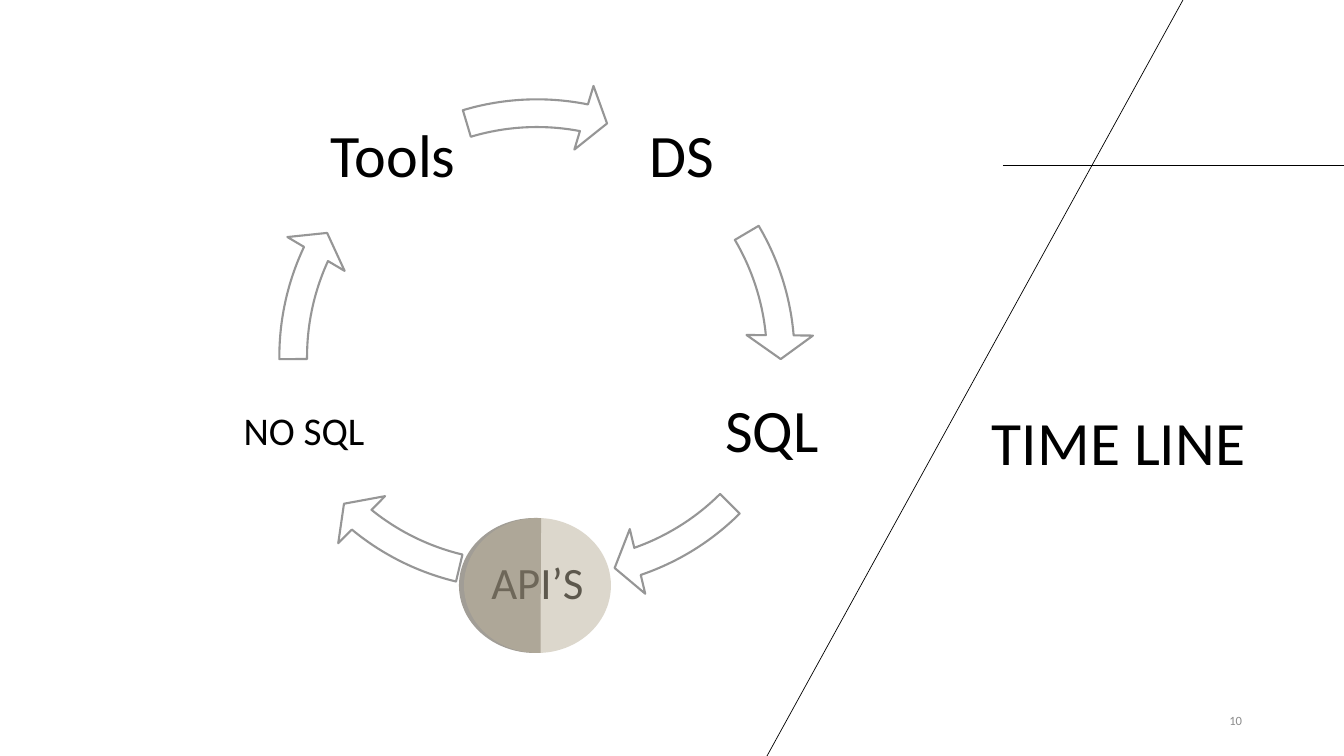
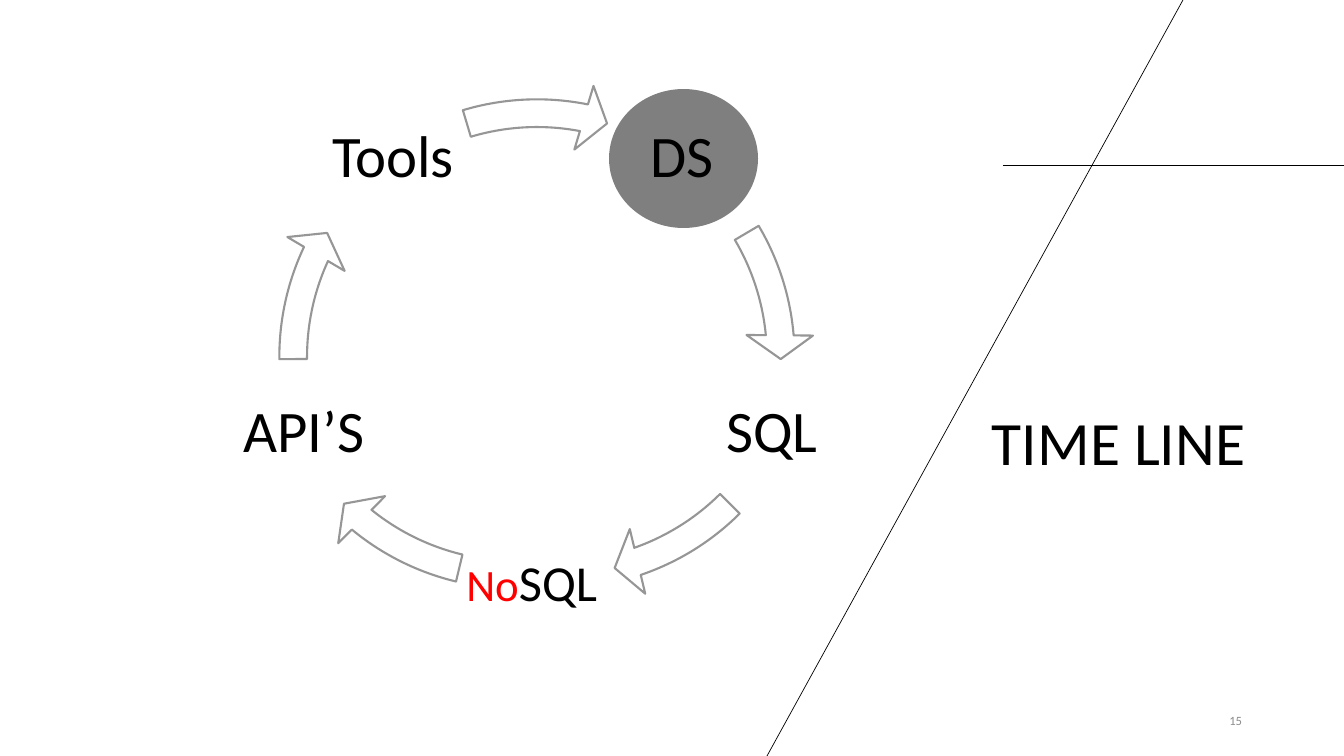
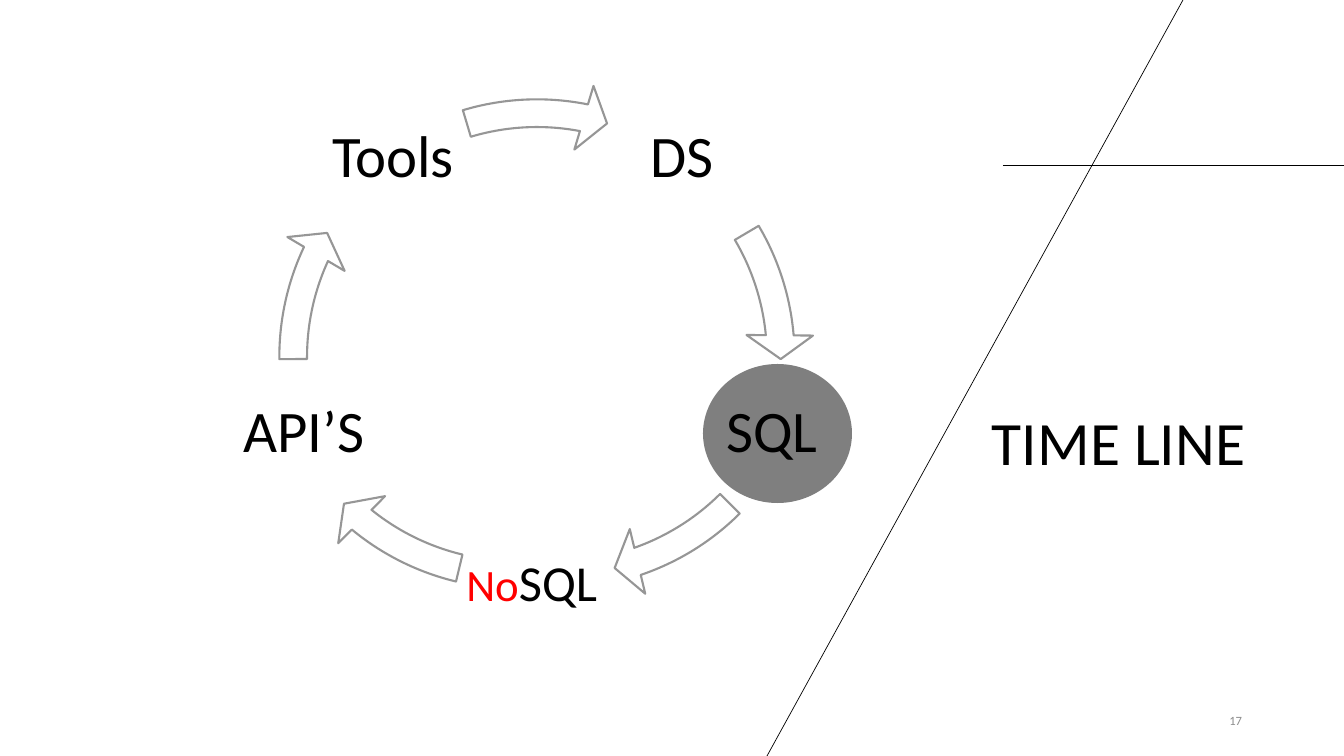
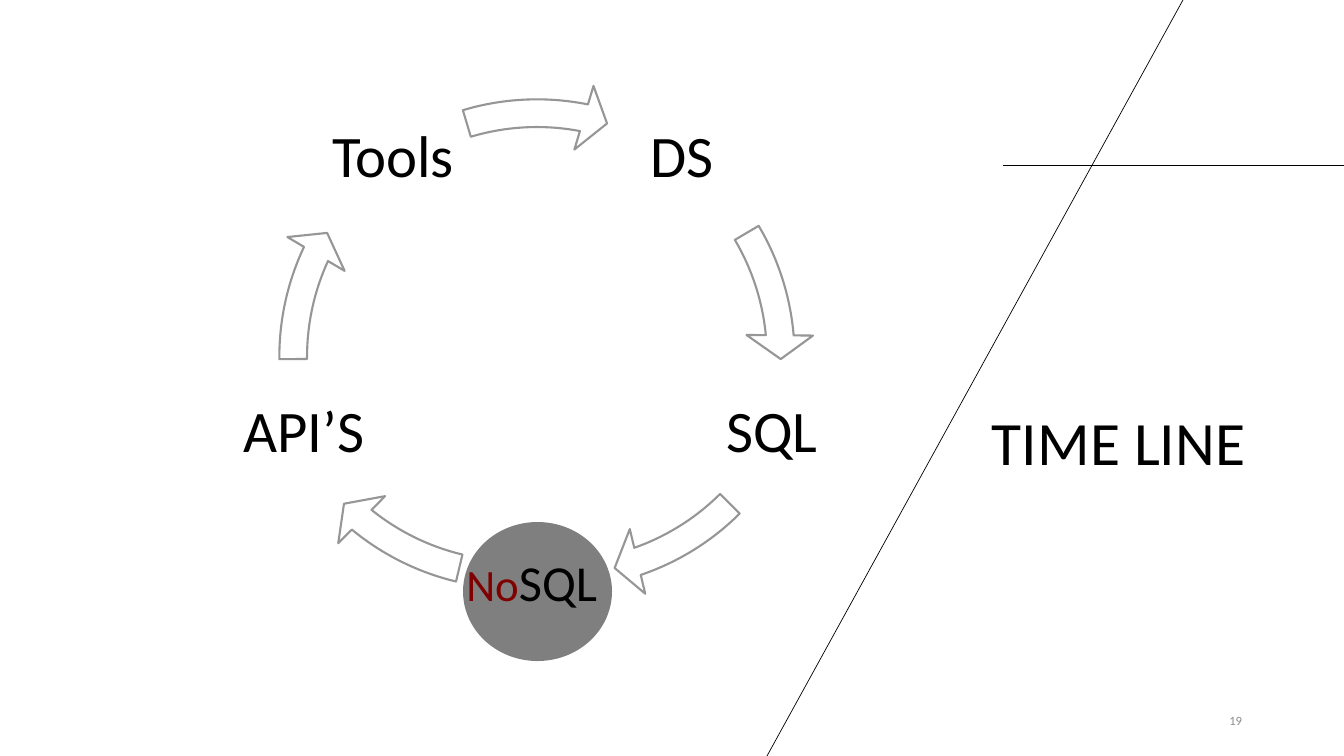
from dataclasses import dataclass

from pptx import Presentation
from pptx.dml.color import RGBColor
from pptx.enum.shapes import MSO_CONNECTOR, MSO_SHAPE
from pptx.enum.text import MSO_ANCHOR, PP_ALIGN
from pptx.oxml.ns import qn
from pptx.util import Pt
from lxml.etree import SubElement

WIDE, HIGH = 1344, 756
SCALE = 12192000 / WIDE


@dataclass(frozen=True)
class Theme:
    font: str = "Calibri"
    ink: str = "000000"
    paper: str = "FFFFFF"
    edge: str = "969696"
    mute: str = "8C8C8C"
    red: str = "FF0000"
    dark: str = "443D2E"
    sand: str = "BBB19B"
    title: int = 44
    big: int = 43
    step: int = 42
    mid: int = 36
    low: int = 32
    small: int = 28
    note: int = 9


T = Theme()

# Boxes are left, top, width, height in px.
TITLE = ("TIME LINE", (982, 399, 341, 85))
NUMBER = (950, 701, 302, 40)
RULES = [(1003, 165, WIDE, 165), (1183, 0, 767, HIGH)]

# Clockwise from upper right: text box, then the next arrow's corner,
# start angle and end angle.
RING = [
    ((608, 84, 148, 148), (260, 80), 329.4, 354.9),
    ((698, 359, 148, 148), (281, 54), 45.15, 70.95),
    ((459, 511, 157, 148), (239, 54), 103.45, 129.26),
    ((230, 359, 148, 148), (260, 80), 179.5, 204.99),
    ((319, 84, 148, 148), (260, 80), 253.29, 281.11),
]
ARROW = 554
BAND, HEAD, TIP = 0.05, 0.06, 5.6

# Each label is an inset and its runs: text, size, colour.
FIRST = [
    (6, [("DS", T.big, T.ink)]),
    (6, [("SQL", T.big, T.ink)]),
    (4, [("API’S", T.low, T.ink)]),
    (4, [("NO SQL", T.small, T.ink)]),
    (6, [("Tools", T.big, T.ink)]),
]
LATER = [
    (6, [("DS", T.step, T.ink)]),
    (6, [("SQL", T.step, T.ink)]),
    (4, [("No", T.low, T.red), ("SQL ", T.mid, T.ink)]),
    (6, [("API’S", T.step, T.ink)]),
    (6, [("Tools", T.step, T.ink)]),
]

# Marks lie half clear over the ring: shape, box, colour, angles.
OVAL, CHORD = MSO_SHAPE.OVAL, MSO_SHAPE.CHORD
SLIDES = [
    ("10", FIRST, [(CHORD, (459, 518, 152, 135), T.dark, (85.27, 275.2)),
                   (OVAL, (464, 518, 147, 135), T.sand, ())]),
    ("15", LATER, [(OVAL, (609, 89, 149, 139), T.ink, ())]),
    ("17", LATER, [(OVAL, (703, 364, 149, 139), T.ink, ())]),
    ("19", LATER, [(OVAL, (463, 522, 149, 139), T.ink, ())]),
]


def px(*nums):
    return [round(n * SCALE) for n in nums]


def turn(deg):
    """Degrees as an adjustment value."""
    return deg * 0.6


def rule(slide, ends):
    line = slide.shapes.add_connector(MSO_CONNECTOR.STRAIGHT, *px(*ends))
    line.line.color.rgb = RGBColor.from_string(T.ink)
    line.line.width = Pt(0.5)
    SubElement(line._element.spPr, qn("a:effectLst"))


def text(slide, box, runs, inset=None, gap=None, **form):
    """Add a text box; form holds text frame attributes."""
    frame = slide.shapes.add_textbox(*px(*box)).text_frame
    if inset is not None:
        for side in ("left", "top", "right", "bottom"):
            form["margin_" + side] = px(inset)[0]
    align = form.pop("align", PP_ALIGN.LEFT)
    for name, value in {"word_wrap": True, **form}.items():
        setattr(frame, name, value)
    para = frame.paragraphs[0]
    para.alignment, para.line_spacing = align, gap
    for words, size, hue in runs:
        run = para.add_run()
        run.text = words
        for name, value in {"name": T.font, "size": Pt(size)}.items():
            setattr(run.font, name, value)
        run.font.color.rgb = RGBColor.from_string(hue)


def shape(slide, kind, box, fill, adjust=()):
    item = slide.shapes.add_shape(kind, *px(*box))
    item.shadow.inherit = False
    item.fill.solid()
    item.fill.fore_color.rgb = RGBColor.from_string(fill)
    item.line.fill.background()
    for i, value in enumerate(adjust):
        item.adjustments[i] = value
    return item


def arrow(slide, spot, start, end):
    item = shape(slide, MSO_SHAPE.CIRCULAR_ARROW, (*spot, ARROW, ARROW),
                 T.paper, (BAND, turn(TIP), turn(end), turn(start), HEAD))
    item.line.color.rgb = RGBColor.from_string(T.edge)
    item.line.width = Pt(1.5)


def mark(slide, kind, box, hue, angles):
    item = shape(slide, kind, box, hue, map(turn, angles))
    color = item._element.spPr.find(qn("a:solidFill"))[0]
    SubElement(color, qn("a:alpha"), val="50000")


def frame(slide, number):
    """Add what every slide shares."""
    for ends in RULES:
        rule(slide, ends)
    text(slide, NUMBER, [(number, T.note, T.mute)], align=PP_ALIGN.RIGHT,
         vertical_anchor=MSO_ANCHOR.MIDDLE)
    words, box = TITLE
    text(slide, box, [(words, T.title, T.ink)])


def main():
    deck = Presentation()
    deck.slide_width, deck.slide_height = px(WIDE, HIGH)
    for number, labels, marks in SLIDES:
        slide = deck.slides.add_slide(deck.slide_layouts[6])
        frame(slide, number)
        for (box, *bend), (inset, runs) in zip(RING, labels):
            text(slide, box, runs, inset, 0.9, align=PP_ALIGN.CENTER,
                 vertical_anchor=MSO_ANCHOR.MIDDLE)
            arrow(slide, *bend)
        for item in marks:
            mark(slide, *item)
    deck.save("out.pptx")


if __name__ == "__main__":
    main()
